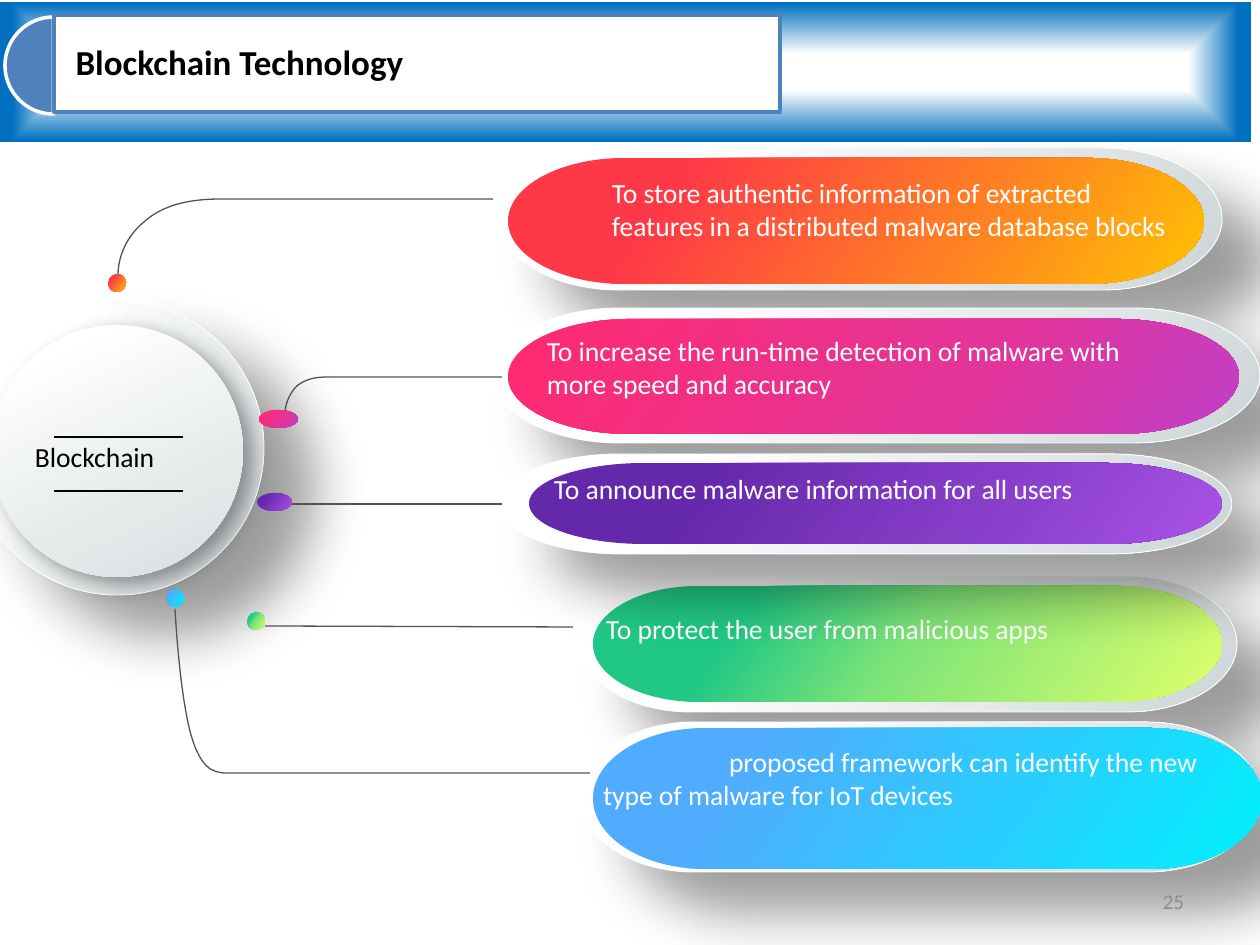
import pptx
import pptx.dml.color
import pptx.enum.shapes
import pptx.enum.text
import pptx.oxml.ns
import pptx.util
from lxml import etree

PX = 914400 / 126
FONT = "Calibri"
SHAPES = pptx.enum.shapes.MSO_SHAPE
ALIGN = pptx.enum.text.PP_ALIGN
SILVER = [(23, "FFFFFF"), (63, "E6EAEB"), (100, "CDD5D8")]
FAR_SHADOW = (33, 36.7)
NEAR_SHADOW = (12, 7.1)

# Boxes are left, top, width, height; a link is a start point and its parts,
# each with two control points and an end, or a single end for a straight line.
GOALS = [
    dict(text="To protect the user from malicious apps",
         colors=[(24, "21C885"), (50, "7FE478"), (100, "DEFF6B")],
         rim=(581, 576, 656, 136), pill=(593, 586, 629, 116),
         dot=(247, 612, 18, 18), words=(601, 606, 620, 47),
         link=[(265, 626), [(573, 627)]]),
    dict(text="proposed framework can identify the new type of malware for IoT devices",
         colors=[(23, "4FACFE"), (63, "28CFFE"), (100, "00F2FE")],
         rim=(581, 722, 679, 150), pill=(593, 728, 669, 141),
         dot=(166, 589, 18, 18), words=(598, 739, 634, 79), first_indent=126,
         link=[(175, 609), [(178, 659), (183, 703), (190, 731)],
               [(200, 769), (213, 772), (224, 773)], [(590, 773)]]),
    dict(text="To store authentic information of extracted features in a "
              "distributed malware database blocks",
         colors=[(23, "FF3847"), (63, "FF7D25"), (100, "FFC203")],
         rim=(499, 148, 723, 142), pill=(508, 158, 696, 126),
         dot=(108, 274, 18, 18), words=(544, 170, 631, 113), margin=63,
         link=[(118, 276), [(118, 256), (127, 236), (144, 222)],
               [(165, 203), (194, 199), (222, 199)], [(493, 199)]]),
    dict(text="To increase the run-time detection of malware with more speed and accuracy",
         colors=[(2, "FF2A70"), (64, "E1359B"), (99, "C23FC6")],
         rim=(493, 308, 767, 135), pill=(508, 319, 731, 115),
         dot=(259, 410, 39, 18), words=(542, 328, 641, 79),
         link=[(285, 412), [(286, 401), (291, 392), (297, 386)],
               [(307, 378), (318, 377), (329, 377)], [(502, 377)]]),
    dict(text="To announce malware information for all users",
         colors=[(23, "6428AA"), (63, "863DC8"), (100, "A852E6")],
         rim=(499, 454, 733, 100), pill=(529, 463, 693, 81),
         dot=(257, 493, 35, 18), words=(549, 466, 653, 79),
         link=[(290, 504), [(502, 504)]]),
]


def emu(*lengths):
    return [round(length * PX) for length in lengths]


def color(hex_text):
    return pptx.dml.color.RGBColor.from_string(hex_text)


def add_xml(parent, tag, **attributes):
    return etree.SubElement(parent, pptx.oxml.ns.qn(tag),
                            {key: str(value) for key, value in attributes.items()})


def set_gradient(shape, stops, from_center=False):
    shape.fill.gradient()
    shape.fill.gradient_angle = 325
    gradient = shape._element.spPr.find(pptx.oxml.ns.qn("a:gradFill"))
    stop_list = gradient.find(pptx.oxml.ns.qn("a:gsLst"))
    stop_list.clear()
    for position, hex_text in stops:
        stop = add_xml(stop_list, "a:gs", pos=position * 1000)
        add_xml(stop, "a:srgbClr", val=hex_text)
    if from_center:
        gradient.remove(gradient.find(pptx.oxml.ns.qn("a:lin")))
        route = add_xml(gradient, "a:path", path="rect")
        add_xml(route, "a:fillToRect", l=50000, t=50000, r=50000, b=50000)


def finish(shape, stops=None, outline=None, weight=0.5, shadow=None):
    """Set gradient, outline and shadow (blur and distance in points)."""
    shape.shadow.inherit = False
    if stops:
        set_gradient(shape, stops)
    if outline:
        shape.line.color.rgb = color(outline)
        shape.line.width = pptx.util.Pt(weight)
    else:
        shape.line.fill.background()
    if shadow:
        blur, distance = shadow
        effects = shape._element.spPr.find(pptx.oxml.ns.qn("a:effectLst"))
        outer = add_xml(effects, "a:outerShdw", blurRad=round(blur * 12700),
                        dist=round(distance * 12700), dir=39 * 60000, rotWithShape=0)
        add_xml(add_xml(outer, "a:srgbClr", val="000000"), "a:alpha", val=38000)
    return shape


def add_outline(page, start, parts, close):
    """Join the ends of the parts, then bend those that have control points."""
    builder = page.shapes.build_freeform(*emu(*start), scale=1.0)
    builder.add_line_segments([emu(*part[-1]) for part in parts], close=close)
    shape = builder.convert_to_shape()
    segments = list(shape._element.iter(pptx.oxml.ns.qn("a:lnTo")))
    for segment, part in zip(segments, parts):
        if len(part) == 3:
            curve = etree.Element(pptx.oxml.ns.qn("a:cubicBezTo"))
            for point in part:
                x, y = emu(*point)
                add_xml(curve, "a:pt", x=x - shape.left, y=y - shape.top)
            segment.getparent().replace(segment, curve)
    return shape


def add_pill(page, box, stops, **look):
    """A bar whose ends are half ellipses, each a sixth of its width."""
    left, top, width, height = box
    right, bottom, middle = left + width, top + height, top + height / 2
    end = width / 6
    bend_x, bend_y = end * 0.45, height / 2 * 0.45
    parts = [[(right - end, top)],
             [(right - bend_x, top), (right, top + bend_y), (right, middle)],
             [(right, bottom - bend_y), (right - bend_x, bottom), (right - end, bottom)],
             [(left + end, bottom)],
             [(left + bend_x, bottom), (left, bottom - bend_y), (left, middle)],
             [(left, top + bend_y), (left + bend_x, top), (left + end, top)]]
    finish(add_outline(page, (left + end, top), parts, True), stops, **look)


def add_line(page, start, stop, hex_text):
    line = page.shapes.add_connector(pptx.enum.shapes.MSO_CONNECTOR.STRAIGHT,
                                     *emu(*start, *stop))
    line.line.color.rgb = color(hex_text)
    line.line.width = pptx.util.Pt(0.75)
    add_xml(line._element.spPr, "a:effectLst")


def add_link(page, link):
    start, *parts = link
    if len(parts) == 1:
        add_line(page, start, parts[0][0], "535353")
        return
    curve = add_outline(page, start, parts, False)
    curve.fill.background()
    finish(curve, outline="535353", weight=0.75)


def add_text(page, box, text, hex_text, size=15.75, bold=False, align=ALIGN.LEFT,
             middle=False, inset=5, margin=0, first_indent=0):
    frame = page.shapes.add_textbox(*emu(*box)).text_frame
    frame.word_wrap = True
    frame.margin_left = frame.margin_right = emu(inset)[0]
    frame.margin_top = frame.margin_bottom = emu(6)[0]
    if middle:
        frame.vertical_anchor = pptx.enum.text.MSO_ANCHOR.MIDDLE
    para = frame.paragraphs[0]
    para.text = text
    para.alignment = align
    properties = para._p.get_or_add_pPr()
    properties.set("marL", str(emu(margin)[0]))
    properties.set("indent", str(emu(first_indent)[0]))
    para.font.name = FONT
    para.font.size = pptx.util.Pt(size)
    para.font.bold = bold
    para.font.color.rgb = color(hex_text)


def add_header(page, box):
    left, top, width, height = box
    banner = finish(page.shapes.add_shape(SHAPES.RECTANGLE, *emu(*box)))
    set_gradient(banner, [(26, "FFFFFF"), (98, "0070C0")], from_center=True)
    pie = page.shapes.add_shape(SHAPES.PIE, *emu(left + 5, top + 15, 97, 97))
    pie.adjustments[0], pie.adjustments[1] = 54, 162
    panel = page.shapes.add_shape(SHAPES.RECTANGLE, *emu(left + 54, top + 13, 726, 97))
    for shape, fill, outline in ((pie, "4F81BD", "FFFFFF"), (panel, "FFFFFF", "4F81BD")):
        shape.fill.solid()
        shape.fill.fore_color.rgb = color(fill)
        finish(shape, outline=outline, weight=2)
    add_text(page, (left - 323, top + 30, 1125, 58), "Blockchain Technology", "000000",
             size=20, bold=True, align=ALIGN.CENTER, middle=True, inset=16)


def add_hub(page, box):
    left, top, width, height = box
    finish(page.shapes.add_shape(SHAPES.OVAL, *emu(*box)), SILVER,
           outline="FFFFFF", shadow=FAR_SHADOW)
    face = page.shapes.add_shape(SHAPES.OVAL, *emu(left + 21, top + 24, 252, 252))
    face.rotation = 30
    finish(face, SILVER, shadow=NEAR_SHADOW)
    add_text(page, (left + 60, top + 133, 176, 43), "Blockchain", "000000")
    for y in (top + 136, top + 190):
        add_line(page, (left + 84, y), (left + 213, y), "000000")


def add_goal(page, text, colors, rim, pill, dot, words, link, **indents):
    add_pill(page, rim, SILVER, outline="FFFFFF", shadow=FAR_SHADOW)
    add_link(page, link)
    add_pill(page, pill, colors)
    finish(page.shapes.add_shape(SHAPES.OVAL, *emu(*dot)), colors)
    add_text(page, words, text, "FFFFFF", **indents)


def main():
    deck = pptx.Presentation()
    deck.slide_width, deck.slide_height = emu(1260, 945)
    page = deck.slides.add_slide(deck.slide_layouts[6])
    add_hub(page, (-30, 301, 294, 294))
    for goal in GOALS:
        add_goal(page, **goal)
    add_header(page, (0, 2, 1251, 140))
    add_text(page, (903, 876, 294, 50), "25", "8C8C8C", size=12,
             align=ALIGN.RIGHT, middle=True, inset=13)
    deck.save("out.pptx")


if __name__ == "__main__":
    main()
